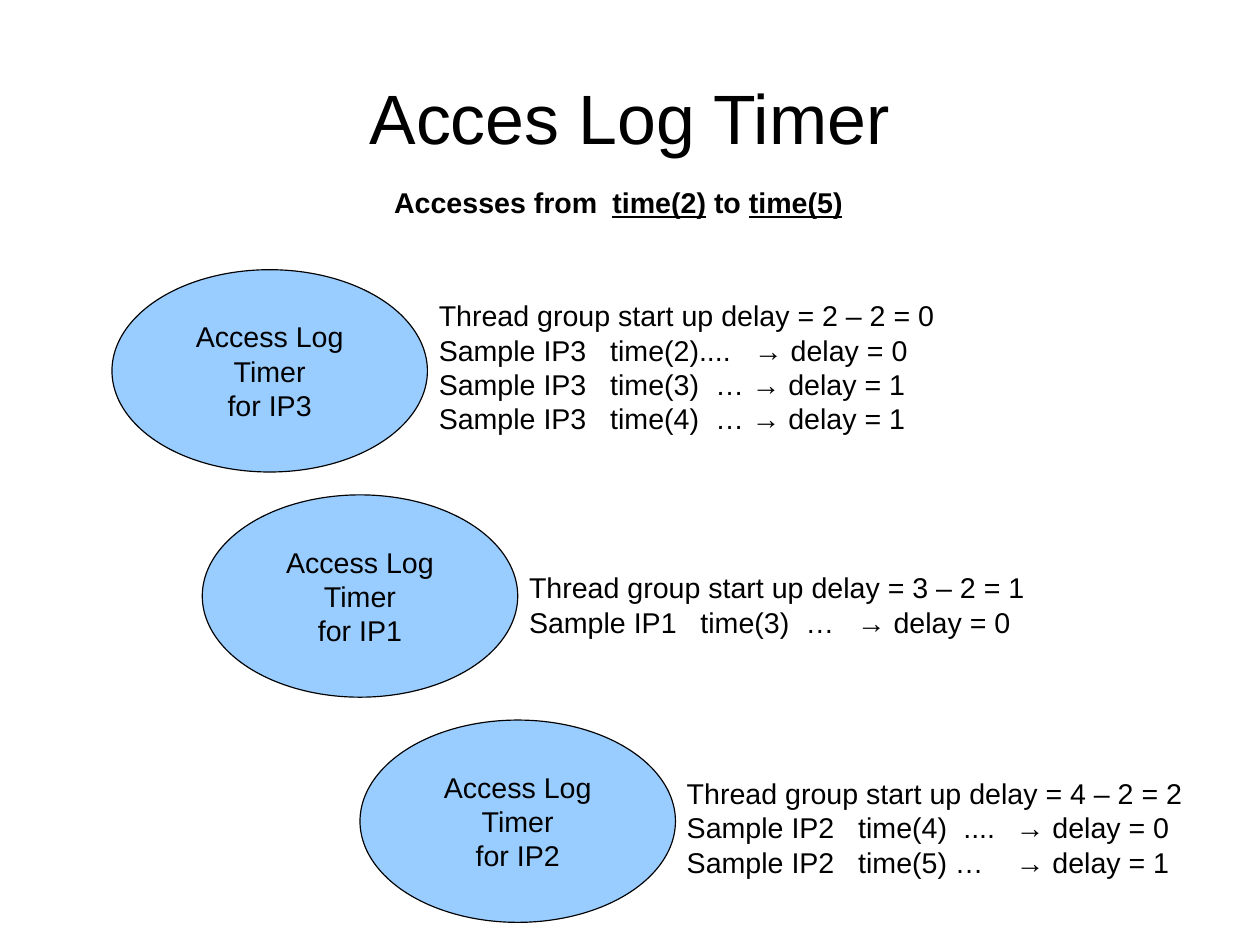
from pptx import Presentation
from pptx.dml.color import RGBColor
from pptx.enum.shapes import MSO_SHAPE
from pptx.enum.text import MSO_ANCHOR, PP_ALIGN
from pptx.oxml.ns import qn
from pptx.util import Inches, Pt
from lxml import etree

ELLIPSE = MSO_SHAPE.OVAL
MIDDLE = MSO_ANCHOR.MIDDLE
LEFT, CENTER, JUSTIFY = PP_ALIGN.LEFT, PP_ALIGN.CENTER, PP_ALIGN.JUSTIFY
COLORS = {"text": "000000", "timer": "99CCFF", "outline": "000000"}
FONT = "Arial"


def add_run(p, text, size=18, bold=False, underline=False):
    r = p.add_run()
    r.text = text
    r.font.name = FONT
    r.font.size = Pt(size)
    r.font.bold = bold
    r.font.underline = underline
    r.font.color.rgb = RGBColor.from_string(COLORS["text"])


def add_paragraph(tf, index, align, tabs=()):
    p = tf.paragraphs[0] if index == 0 else tf.add_paragraph()
    p.alignment = align
    if tabs:
        stops = etree.SubElement(p._p.get_or_add_pPr(), qn("a:tabLst"))
        for pos in tabs:
            etree.SubElement(stops, qn("a:tab"), pos=str(Inches(pos)), algn="l")
    return p


# Slide of 28 by 21 cm
prs = Presentation()
prs.slide_width, prs.slide_height = Inches(28 / 2.54), Inches(21 / 2.54)
s = prs.slides.add_slide(prs.slide_layouts[6])

# Title
tf = s.shapes.add_textbox(Inches(0.55), Inches(0.38), Inches(9.92), Inches(1.28)).text_frame
tf.word_wrap = True
tf.vertical_anchor = MIDDLE
tf.margin_left = tf.margin_right = tf.margin_top = tf.margin_bottom = 0
add_run(add_paragraph(tf, 0, CENTER), "Acces Log Timer", size=44)

# Subtitle
tf = s.shapes.add_textbox(Inches(3.35), Inches(1.57), Inches(4.33), Inches(0.66)).text_frame
tf.word_wrap = True
p = add_paragraph(tf, 0, JUSTIFY, [1.91])
for text, underline in [("Accesses from\t", False), ("time(2)", True),
                        (" to ", False), ("time(5)", True)]:
    add_run(p, text, bold=True, underline=underline)

# Timers: IP, ellipse left, notes top, width and height, arrow tab, notes
timers = [
    ("IP3", 0.98, 2.56, 5.31, 1.22, 2.76, [
        "Thread group start up delay = 2 – 2 = 0",
        "Sample IP3\ttime(2)....\t→ delay = 0",
        "Sample IP3\ttime(3)\t… → delay = 1",
        "Sample IP3\ttime(4)\t… → delay = 1"]),
    ("IP1", 1.77, 4.94, 5.71, 0.66, 2.87, [
        "Thread group start up delay = 3 – 2 = 1",
        "Sample IP1\ttime(3)\t…\t→ delay = 0"]),
    ("IP2", 3.15, 6.74, 4.92, 0.94, 2.88, [
        "Thread group start up delay = 4 – 2 = 2",
        "Sample IP2\ttime(4)\t....\t→ delay = 0",
        "Sample IP2\ttime(5) …\t→ delay = 1"]),
]
TIMER_W, TIMER_H = 2.76, 1.77
FIRST_TOP, STEP = 2.36, 1.97

for row, (ip, left, top, width, height, arrow_tab, notes) in enumerate(timers):
    # Ellipse
    sp = s.shapes.add_shape(ELLIPSE, Inches(left), Inches(FIRST_TOP + row * STEP),
                            Inches(TIMER_W), Inches(TIMER_H))
    sp.shadow.inherit = False
    sp.fill.solid()
    sp.fill.fore_color.rgb = RGBColor.from_string(COLORS["timer"])
    sp.line.color.rgb = RGBColor.from_string(COLORS["outline"])
    sp.line.width = Pt(0)
    tf = sp.text_frame
    tf.word_wrap = True
    tf.vertical_anchor = MIDDLE
    for i, text in enumerate(["Access Log Timer", f"for {ip}"]):
        add_run(add_paragraph(tf, i, CENTER), text)

    # Notes, starting at the ellipse's right edge
    tf = s.shapes.add_textbox(Inches(left + TIMER_W), Inches(top),
                              Inches(width), Inches(height)).text_frame
    tf.word_wrap = True
    for i, text in enumerate(notes):
        tabs = [1.5, 2.42, arrow_tab] if "\t" in text else ()
        add_run(add_paragraph(tf, i, LEFT, tabs), text)

prs.save("out.pptx")
